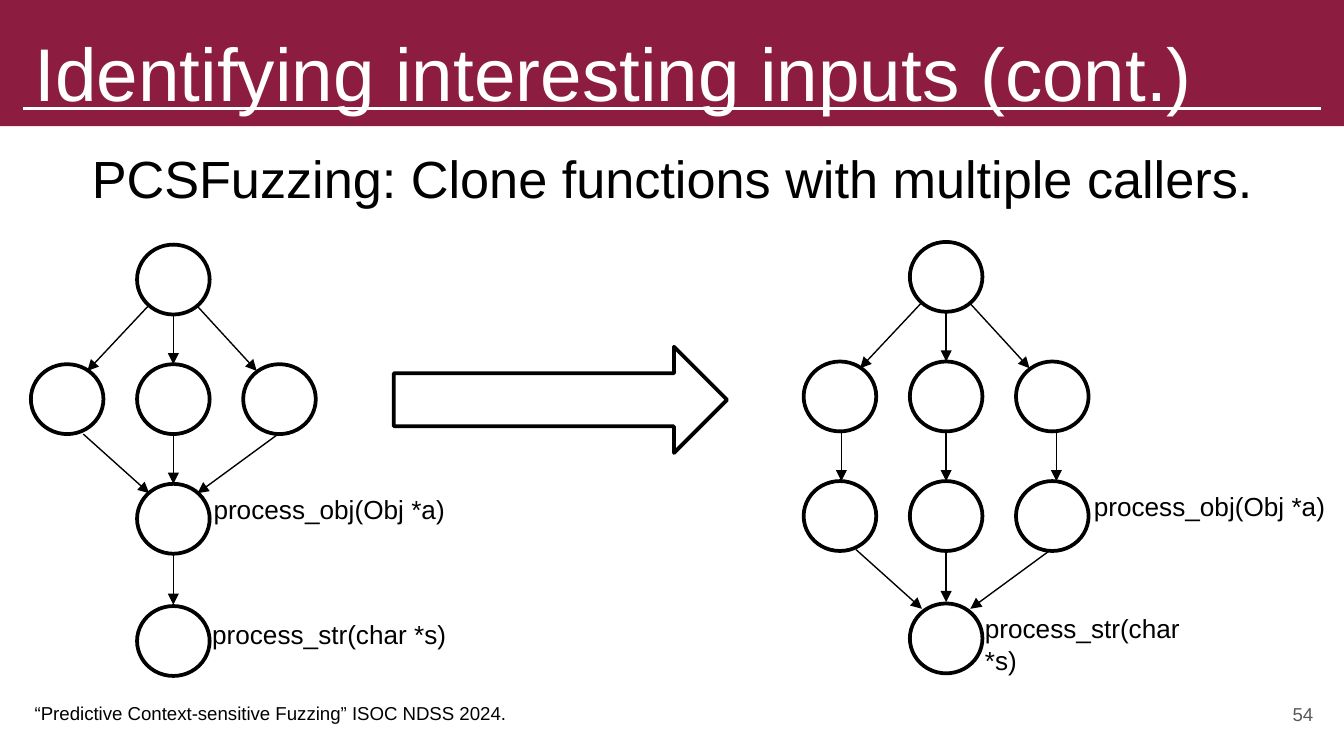
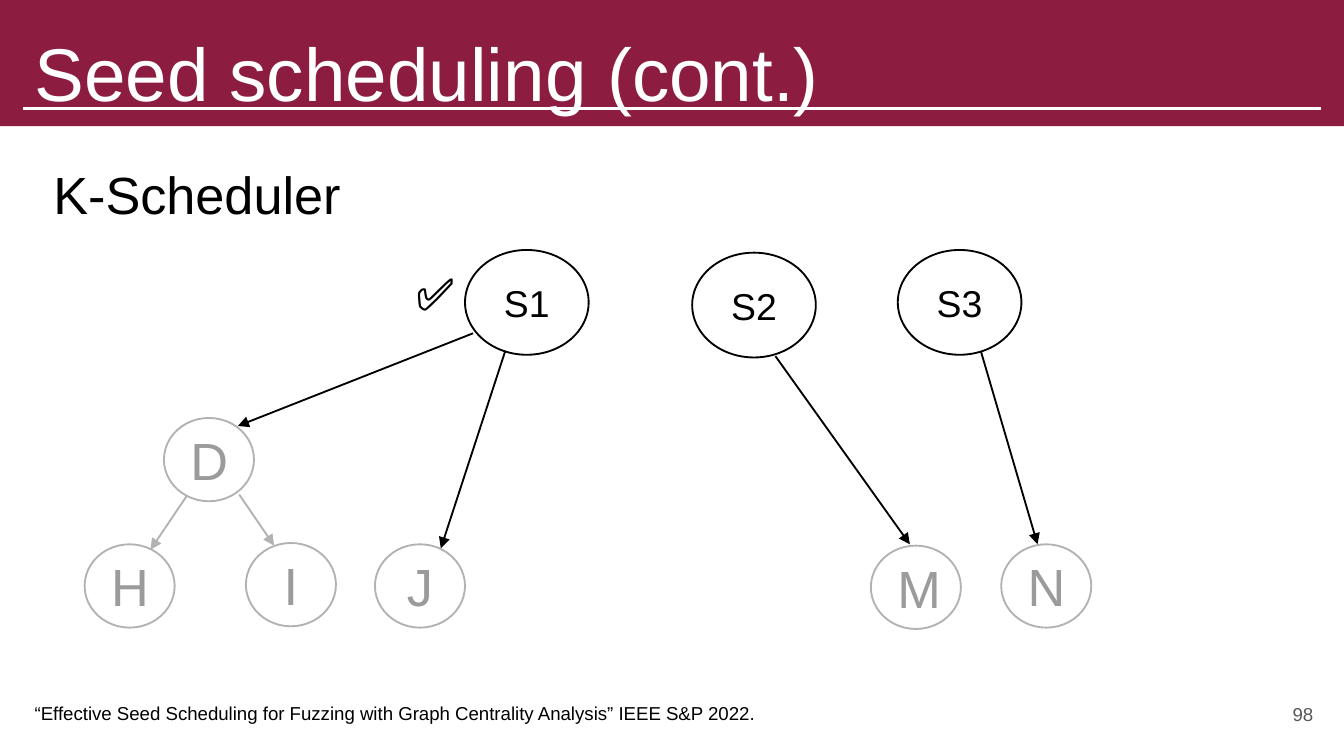
from dataclasses import dataclass

from lxml.etree import SubElement
from pptx import Presentation
from pptx.dml.color import RGBColor
from pptx.enum.shapes import MSO_CONNECTOR, MSO_SHAPE
from pptx.enum.text import MSO_ANCHOR, PP_ALIGN
from pptx.oxml.ns import qn
from pptx.util import Inches, Pt


@dataclass(frozen=True)
class Theme:
    font: str = "Arial"
    maroon: str = "8C1D40"
    white: str = "FFFFFF"
    black: str = "000000"
    number_gray: str = "595959"
    line_gray: str = "B2B2B2"
    letter_gray: str = "9B9B9B"
    title: int = 40
    heading: int = 28
    check: int = 24
    seed: int = 20
    label: int = 14
    small: int = 10


theme = Theme()


def add_item(page, place, text="", size=theme.label, color=theme.black, align=PP_ALIGN.LEFT,
             preset=None, line=None, width=1, anchor=MSO_ANCHOR.TOP, inset=0.05):
    """Add a text box, or an unfilled preset shape when a preset is given."""
    place = [Inches(value) for value in place]
    if preset is None:
        box = page.shapes.add_textbox(*place)
    else:
        box = page.shapes.add_shape(preset, *place)
        box.shadow.inherit = False
        box.fill.background()
        if line:
            box.line.color.rgb = RGBColor.from_string(line)
            box.line.width = Pt(width)
        else:
            box.line.fill.background()
    frame = box.text_frame
    frame.word_wrap = True
    frame.vertical_anchor = anchor
    frame.margin_top = frame.margin_bottom = Inches(inset)
    para = frame.paragraphs[0]
    para.text = text
    para.alignment = align
    para.font.name = theme.font
    para.font.size = Pt(size)
    para.font.color.rgb = RGBColor.from_string(color)
    return box


def add_line(page, start, end, color=theme.black, width=0.75, arrow=True):
    """Add a straight line, by default with an arrowhead at its end."""
    points = [Inches(value) for value in (*start, *end)]
    line = page.shapes.add_connector(MSO_CONNECTOR.STRAIGHT, *points)
    line.line.color.rgb = RGBColor.from_string(color)
    line.line.width = Pt(width)
    if arrow:
        SubElement(line.line._get_or_add_ln(), qn("a:tailEnd"), type="triangle")
    SubElement(line._element.spPr, qn("a:effectLst"))


deck = Presentation()
deck.slide_width = Inches(10)
deck.slide_height = deck.slide_width * 9 // 16

# Shared band, title, page number and citation
pages = []
for title, title_size, number, citation in [
    ("Identifying interesting inputs (cont.)", (9.67, 0.72), "54",
     "“Predictive Context-sensitive Fuzzing” ISOC NDSS 2024."),
    ("Seed scheduling (cont.)", (9.32, 0.63), "98",
     "“Effective Seed Scheduling for Fuzzing with Graph Centrality Analysis” IEEE S&P 2022."),
]:
    page = deck.slides.add_slide(deck.slide_layouts[6])
    band = add_item(page, (0, 0, 10, 0.94), preset=MSO_SHAPE.RECTANGLE)
    band.fill.solid()
    band.fill.fore_color.rgb = RGBColor.from_string(theme.maroon)
    add_line(page, (0.17, 0.81), (9.83, 0.81), theme.white, 1.5, arrow=False)
    add_item(page, (0.16, 0.1, *title_size), title, theme.title, theme.white, inset=0.1)
    add_item(page, (9.27, 5.1, 0.6, 0.43), number, theme.small, theme.number_gray,
             PP_ALIGN.RIGHT, anchor=MSO_ANCHOR.MIDDLE, inset=0.1)
    add_item(page, (0.16, 5.17, 7.9, 0.27), citation, theme.small)
    pages.append(page)
cloning, scheduling = pages

# Call graphs before and after cloning
add_item(cloning, (0, 1.04, 10, 0.57), "PCSFuzzing: Clone functions with multiple callers.",
         theme.heading, align=PP_ALIGN.CENTER)
column_step = 0.79
row_tops = [0, 0.89, 1.78, 2.69]
shared_nodes = [(0, 0), (-1, 1), (0, 1), (1, 1), (0, 2), (0, 3)]
cloned_nodes = [(-1, 2), (1, 2)]
shared_calls = [
    ((0.08, 0.46), (-0.37, 0.94)), ((0.45, 0.46), (0.89, 0.94)),
    ((0.27, 0.52), (0.27, 0.89)), ((0.27, 1.41), (0.27, 1.78)), ((0.27, 2.31), (0.27, 2.68)),
]
cloned_calls = [((x, 1.41), (x, 1.78)) for x in (-0.51, 1.09)]
for left, top, nodes, calls, merge_top in [
    (1.02, 1.82, shared_nodes, shared_calls, 1.41),
    (6.77, 1.8, shared_nodes + cloned_nodes, shared_calls + cloned_calls, 2.29),
]:
    for column, row in nodes:
        add_item(cloning, (left + column * column_step, top + row_tops[row], 0.54, 0.52),
                 preset=MSO_SHAPE.OVAL, line=theme.black, width=2)
    merges = [((-0.4, merge_top), (0.09, merge_top + 0.44)),
              ((1.05, merge_top), (0.45, merge_top + 0.44))]
    for start, end in calls + merges:
        add_line(cloning, (left + start[0], top + start[1]), (left + end[0], top + end[1]))

# Function labels and the arrow between the graphs
for place, text in [
    ((1.49, 3.62, 1.98, 0.34), "process_obj(Obj *a)"),
    ((1.48, 4.55, 2.02, 0.34), "process_str(char *s)"),
    ((8.04, 3.6, 1.94, 0.34), "process_obj(Obj *a)"),
    ((7.23, 4.51, 1.94, 0.34), "process_str(char *s)"),
]:
    add_item(cloning, place, text)
add_item(cloning, (2.93, 2.58, 2.48, 0.79), preset=MSO_SHAPE.RIGHT_ARROW,
         line=theme.black, width=2)

# Scheduler heading and the chosen seed's mark
for place, text, size in [
    ((0.22, 1.16, 2.49, 0.57), "K-Scheduler", theme.heading),
    ((2.81, 1.93, 0.86, 0.5), "✅", theme.check),
]:
    add_item(scheduling, place, text, size, align=PP_ALIGN.CENTER)

# Seeds in black, unvisited nodes in gray
seeds = [("S1", 3.46, 1.86), ("S2", 5.15, 1.88), ("S3", 6.68, 1.86)]
unvisited = [("D", 1.22, 3.11), ("H", 0.63, 4.05), ("I", 1.83, 4.04),
             ("J", 2.79, 4.05), ("M", 6.48, 4.06), ("N", 7.45, 4.05)]
for nodes, width, height, size, color, outline in [
    (seeds, 0.92, 0.78, theme.seed, theme.black, theme.black),
    (unvisited, 0.67, 0.62, theme.heading, theme.letter_gray, theme.line_gray),
]:
    for name, left, top in nodes:
        add_item(scheduling, (left, top, width, height), name, size, color, PP_ALIGN.CENTER,
                 MSO_SHAPE.FLOWCHART_CONNECTOR, outline, anchor=MSO_ANCHOR.MIDDLE)

# Edges from seeds, then edges below node D
for color, edges in [
    (theme.black, [((3.52, 2.48), (1.77, 3.17)), ((3.76, 2.61), (3.28, 4.08)),
                   ((5.77, 2.65), (6.77, 4.05)), ((7.3, 2.62), (7.72, 4.05))]),
    (theme.line_gray, [((1.39, 3.69), (1.12, 4.09)), ((1.78, 3.68), (2.04, 4.06))]),
]:
    for start, end in edges:
        add_line(scheduling, start, end, color, 1)

deck.save("out.pptx")
